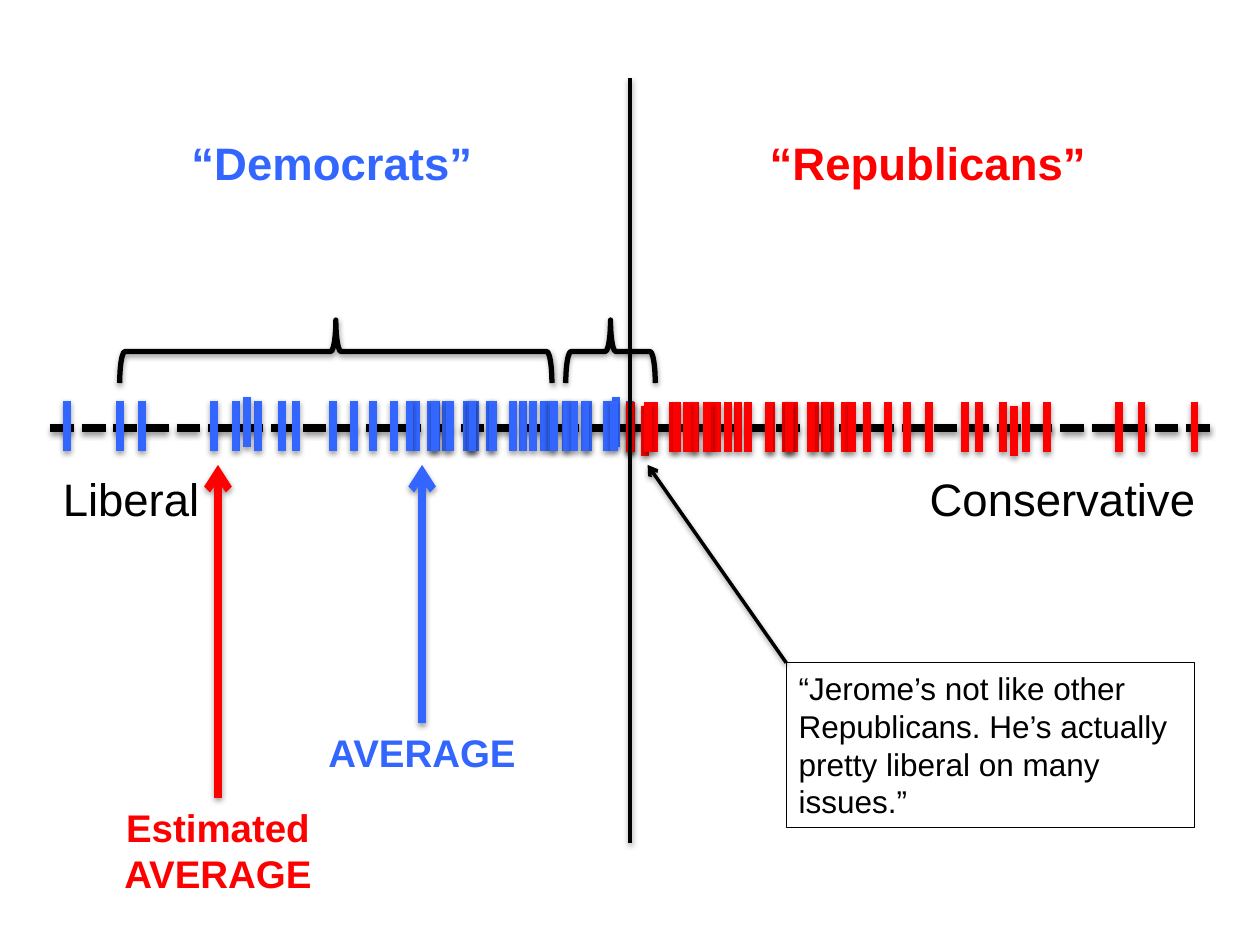
from pptx import Presentation
from pptx.dml.color import RGBColor
from pptx.enum.dml import MSO_LINE
from pptx.enum.shapes import MSO_CONNECTOR, MSO_SHAPE
from pptx.enum.text import MSO_ANCHOR, PP_ALIGN
from pptx.oxml import parse_xml
from pptx.oxml.ns import nsdecls
from pptx.util import Inches, Pt

STRAIGHT = MSO_CONNECTOR.STRAIGHT
BRACE, RECTANGLE = MSO_SHAPE.LEFT_BRACE, MSO_SHAPE.RECTANGLE
DASHED = MSO_LINE.SQUARE_DOT
LEFT, CENTER, TOP = PP_ALIGN.LEFT, PP_ALIGN.CENTER, MSO_ANCHOR.TOP

COLORS = {"ink": "000000", "democrat": "3366FF", "republican": "FF0000"}
FONT = "Arial"

# Places of the Democrats on the axis; the Republicans mirror them
DEMOCRATS = [
    1.7, 2.35, 1.87, 2.05, 0.53, 0.95, 1.13, 1.96, 3.54, 2.24, 2.64,
    2.81, 3.13, 3.3, 3.71, 3.46, 3.77, 3.89, 4.89, 4.67, 4.49, 2.96,
    4.15, 3.25, 3.42, 3.57, 3.74, 4.32, 4.38, 4.5, 3.45, 4.64, 3.75,
    3.91, 4.07, 4.23, 4.4, 4.82, 4.56, 4.87, 5,
]
RAISED = {1.96, 4.89}
MIRROR_X, MIRROR_Y = 10.01, 6.77
MARK_TOP, MARK_HEIGHT, MARK_LIFT = 3.18, 0.4, 0.03


def color(name):
    return RGBColor.from_string(COLORS[name])


def add_shadow(shape):
    shape._element.spPr.append(parse_xml(
        f'<a:effectLst {nsdecls("a")}><a:outerShdw blurRad="40000" dist="20000" '
        'dir="5400000" rotWithShape="0"><a:srgbClr val="000000">'
        '<a:alpha val="38000"/></a:srgbClr></a:outerShdw></a:effectLst>'))


def add_line(shapes, start, end, ink, width, arrow=False, dashed=False):
    line = shapes.add_connector(STRAIGHT, *map(Inches, start + end))
    line.line.color.rgb = color(ink)
    line.line.width = Pt(width)
    if dashed:
        line.line.dash_style = DASHED
    if arrow:
        line.line._get_or_add_ln().append(
            parse_xml(f'<a:tailEnd {nsdecls("a")} type="arrow"/>'))
    add_shadow(line)


def write(shape, lines, size, ink, align, bold=False, wrap=False):
    frame = shape.text_frame
    frame.word_wrap = wrap
    frame.vertical_anchor = TOP
    frame.text = "\n".join(lines)
    for para in frame.paragraphs:
        para.alignment = align
        para.font.name = FONT
        para.font.size = Pt(size)
        para.font.bold = bold
        para.font.color.rgb = color(ink)


def add_label(page, box, lines, size, ink="ink", align=CENTER, bold=True):
    label = page.shapes.add_textbox(*map(Inches, box))
    write(label, lines, size, ink, align, bold)


def add_axis(page, left, top, width):
    add_line(page.shapes, (left, top), (left + width, top), "ink", 4.5, dashed=True)
    for x, label_width, text in ((0.4, 1.3, "Liberal"), (7.28, 2.33, "Conservative")):
        add_label(page, (x, top + 0.29, label_width, 0.54), [text], 26,
                  align=LEFT, bold=False)


def add_voters(page):
    democrats = page.shapes.add_group_shape().shapes
    republicans = page.shapes.add_group_shape().shapes
    for x in DEMOCRATS:
        top = MARK_TOP - (MARK_LIFT if x in RAISED else 0)
        bottom = top + MARK_HEIGHT
        add_line(democrats, (x, top), (x, bottom), "democrat", 4.5)
        add_line(republicans, (MIRROR_X - x, MIRROR_Y - top),
                 (MIRROR_X - x, MIRROR_Y - bottom), "republican", 4.5)
    # One Republican sits right on the dividing line
    add_line(republicans, (5, 3.59), (5, 3.19), "republican", 4.5)


def add_brace(page, left, top, width, height):
    """Brace over the given box: an upright left brace turned by 90 degrees."""
    brace = page.shapes.add_shape(
        BRACE, Inches(left + (width - height) / 2),
        Inches(top + (height - width) / 2), Inches(height), Inches(width))
    brace.rotation = 90
    brace.fill.background()
    brace.line.color.rgb = color("ink")
    brace.line.width = Pt(3)
    add_shadow(brace)


def add_average(page, x, label_top, label_height, lines, ink):
    add_line(page.shapes, (x, label_top), (x, 3.69), ink, 4.5, arrow=True)
    add_label(page, (x - 0.85, label_top, 1.7, label_height), lines, 22, ink)


def add_quote(page, left, top, width, height, target):
    add_line(page.shapes, (left, top), target, "ink", 2, arrow=True)
    quote = page.shapes.add_shape(
        RECTANGLE, *map(Inches, (left, top, width, height)))
    quote.shadow.inherit = False
    quote.fill.background()
    quote.line.color.rgb = color("ink")
    quote.line.width = Pt(0.75)
    write(quote, ["“Jerome’s not like other Republicans. He’s actually "
                  "pretty liberal on many issues.”"], 18, "ink", LEFT, wrap=True)


deck = Presentation()
deck.slide_width, deck.slide_height = Inches(10), Inches(7.5)
page = deck.slides.add_slide(deck.slide_layouts[6])

# Axis, voters and the dividing line
add_axis(page, 0.4, 3.4, 9.21)
add_voters(page)
add_line(page.shapes, (5, 0.62), (5, 6.69), "ink", 2)

# Braces over the groups
add_brace(page, 4.49, 2.54, 0.71, 0.5)
add_brace(page, 0.95, 2.54, 3.43, 0.5)

# Party names and averages
add_label(page, (1.41, 1.02, 2.45, 0.54), ["“Democrats”"], 26, "democrat")
add_label(page, (6, 1.02, 2.73, 0.54), ["“Republicans”"], 26, "republican")
add_average(page, 3.35, 5.74, 0.47, ["AVERAGE"], "democrat")
add_average(page, 1.73, 6.33, 0.84, ["Estimated", "AVERAGE"], "republican")

# Remark about one voter
add_quote(page, 6.24, 5.26, 3.24, 1.31, (5.14, 3.69))

deck.save("out.pptx")
